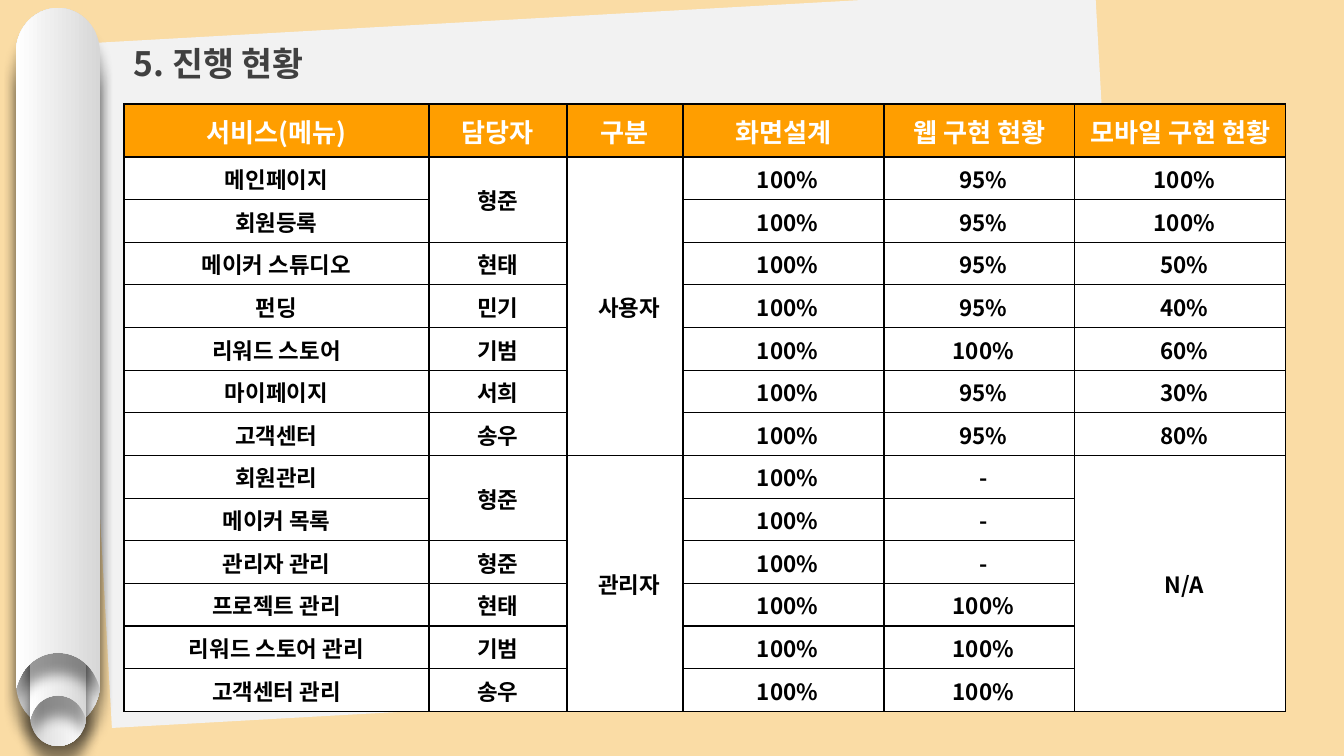
"""Build the project progress slide: a paper scroll and a status table."""
import dataclasses
import typing

import lxml.etree
import pptx
import pptx.dml.color
import pptx.enum.shapes
import pptx.enum.text
import pptx.oxml
import pptx.oxml.ns
import pptx.util

PX = 914400 / 134.4
FONT = "Noto Sans CJK KR"
NS = 'xmlns:a="http://schemas.openxmlformats.org/drawingml/2006/main"'


@dataclasses.dataclass(frozen=True)
class Tube:
    left: int
    top: int
    width: int
    height: int
    rotation: int


class Status(typing.NamedTuple):
    service: str
    owner: str
    group: str
    design: str
    web: str
    mobile: str


TUBES = [
    Tube(16, 48, 84, 680, 180),
    Tube(30, 290, 56, 456, 180),
    Tube(30, 263, 56, 456, 0),
    Tube(16, 8, 84, 680, 0),
]
COLUMNS = [305, 138, 116, 201, 191, 211]
HEADER_HEIGHT, BODY_HEIGHT = 53, 555
ROWS = [
    Status("서비스(메뉴)", "담당자", "구분", "화면설계", "웹 구현 현황", "모바일 구현 현황"),
    Status("메인페이지", "형준", "사용자", "100%", "95%", "100%"),
    Status("회원등록", "", "", "100%", "95%", "100%"),
    Status("메이커 스튜디오", "현태", "", "100%", "95%", "50%"),
    Status("펀딩", "민기", "", "100%", "95%", "40%"),
    Status("리워드 스토어", "기범", "", "100%", "100%", "60%"),
    Status("마이페이지", "서희", "", "100%", "95%", "30%"),
    Status("고객센터", "송우", "", "100%", "95%", "80%"),
    Status("회원관리", "형준", "관리자", "100%", "-", "N/A"),
    Status("메이커 목록", "", "", "100%", "-", ""),
    Status("관리자 관리", "형준", "", "100%", "-", ""),
    Status("프로젝트 관리", "현태", "", "100%", "100%", ""),
    Status("리워드 스토어 관리", "기범", "", "100%", "100%", ""),
    Status("고객센터 관리", "송우", "", "100%", "100%", ""),
]


def emu(px: float) -> int:
    """Turn pixels into EMU."""
    return round(px * PX)


def rgb(value: str) -> pptx.dml.color.RGBColor:
    """Turn a hex string into a colour."""
    return pptx.dml.color.RGBColor.from_string(value)


def apply(target, values: dict) -> None:
    """Set every attribute in a dict of format values."""
    for name, value in values.items():
        setattr(target, name, value)


def write(tf, text: str, size: int, color: str, **paragraph) -> None:
    """Write one bold line of text."""
    p = tf.paragraphs[0]
    apply(p, paragraph)
    r = p.add_run()
    r.text = text
    apply(r.font, {"name": FONT, "size": pptx.util.Pt(size), "bold": True})
    r.font.color.rgb = rgb(color)
    ea = lxml.etree.SubElement(r.font._element, pptx.oxml.ns.qn("a:ea"))
    ea.set("typeface", FONT)


def add_backdrop(s) -> None:
    """Draw the tilted sheet of paper."""
    sp = s.shapes.add_shape(
        pptx.enum.shapes.MSO_SHAPE.RECTANGLE, emu(92), emu(15), emu(1023), emu(685))
    sp.rotation = 356.8
    sp.shadow.inherit = False
    sp.fill.solid()
    sp.fill.fore_color.rgb = rgb("F2F2F2")
    sp.line.fill.background()


def bend(segment, controls: list) -> None:
    """Turn a straight path segment into a cubic curve."""
    segment.tag = pptx.oxml.ns.qn("a:cubicBezTo")
    for i, (x, y) in enumerate(controls):
        segment.insert(i, pptx.oxml.parse_xml(
            f'<a:pt {NS} x="{emu(x)}" y="{emu(y)}"/>'))


def add_tube(shapes, tube: Tube) -> None:
    """Draw a tube with a round cap and a hollow end."""
    w, h = tube.width, tube.height
    mid, cap = w / 2, 0.53 * w
    notch, lip = h - 0.42 * w, h - 0.08 * w
    corners = [(mid, 0), (w, cap), (w, h), (0.97 * w, lip), (mid, notch),
               (0.03 * w, lip), (0, h), (0, cap), (mid, 0)]
    curves = {
        1: [(0.78 * w, 0), (w, 0.24 * w)],
        4: [(0.89 * w, h - 0.29 * w), (0.71 * w, notch)],
        5: [(0.29 * w, notch), (0.11 * w, h - 0.29 * w)],
        8: [(0, 0.24 * w), (0.22 * w, 0)],
    }
    points = [(emu(tube.left + x), emu(tube.top + y)) for x, y in corners]
    builder = shapes.build_freeform(*points[0])
    builder.add_line_segments(points[1:])
    sp = builder.convert_to_shape()
    outline = sp._element.find(".//" + pptx.oxml.ns.qn("a:path"))
    for i, controls in curves.items():
        bend(outline[i], controls)
    sp.rotation = tube.rotation
    sp.line.fill.background()
    sp.fill.gradient()
    sp.fill.gradient_angle = 180
    for stop, (position, color) in zip(
            sp.fill.gradient_stops, [(0, "D7D7D7"), (1, "FFFFFF")]):
        stop.position = position
        stop.color.rgb = rgb(color)
    sp._element.spPr.append(pptx.oxml.parse_xml(
        f'<a:effectLst {NS}><a:outerShdw blurRad="{pptx.util.Pt(7)}" '
        f'dist="{pptx.util.Pt(11)}" dir="5400000" algn="ctr" rotWithShape="0">'
        '<a:srgbClr val="000000"><a:alpha val="40000"/></a:srgbClr>'
        '</a:outerShdw></a:effectLst>'))


def add_title(s) -> None:
    """Add the slide heading."""
    tf = s.shapes.add_textbox(emu(124), emu(18), emu(969), emu(66)).text_frame
    apply(tf, {"word_wrap": True, "margin_left": emu(10), "margin_right": emu(10),
               "margin_top": emu(5), "margin_bottom": emu(5)})
    write(tf, "5. 진행 현황", 18, "404040", line_spacing=1.5)


def add_borders(cell) -> None:
    """Give a cell a thin black line on each side."""
    tc_pr = cell._tc.get_or_add_tcPr()
    for i, side in enumerate("LRTB"):
        tc_pr.insert(i, pptx.oxml.parse_xml(
            f'<a:ln{side} {NS} w="{pptx.util.Pt(0.75)}"><a:solidFill>'
            f'<a:srgbClr val="000000"/></a:solidFill></a:ln{side}>'))


def add_status_table(s) -> None:
    """Draw the status table, merging each cell with the empty ones below."""
    table = s.shapes.add_table(
        len(ROWS), len(COLUMNS), emu(124), emu(104),
        emu(sum(COLUMNS)), emu(HEADER_HEIGHT + BODY_HEIGHT)).table
    table.horz_banding = False
    for column, width in zip(table.columns, COLUMNS):
        column.width = emu(width)
    for i, row in enumerate(table.rows):
        row.height = emu(BODY_HEIGHT / (len(ROWS) - 1) if i else HEADER_HEIGHT)
    for i, status in enumerate(ROWS):
        size, color, fill = (12, "000000", "FFFFFF") if i else (14, "FFFFFF", "FF9E00")
        for j, text in enumerate(status):
            cell = table.cell(i, j)
            add_borders(cell)
            cell.fill.solid()
            cell.fill.fore_color.rgb = rgb(fill)
            apply(cell, {"margin_left": emu(9 if i and j > 1 else 1),
                         "margin_right": emu(1), "margin_top": emu(1), "margin_bottom": 0,
                         "vertical_anchor": pptx.enum.text.MSO_ANCHOR.MIDDLE})
            if not text:
                continue
            write(cell.text_frame, text, size, color,
                  alignment=pptx.enum.text.PP_ALIGN.CENTER)
            last = i
            while last + 1 < len(ROWS) and not ROWS[last + 1][j]:
                last += 1
            if last > i:
                cell.merge(table.cell(last, j))


def main() -> None:
    """Build and save the slide."""
    prs = pptx.Presentation()
    apply(prs, {"slide_width": emu(1344), "slide_height": emu(756)})
    s = prs.slides.add_slide(prs.slide_layouts[6])
    s.background.fill.solid()
    s.background.fill.fore_color.rgb = rgb("FADCA5")
    add_backdrop(s)
    scroll = s.shapes.add_group_shape()
    for tube in TUBES:
        add_tube(scroll.shapes, tube)
    add_title(s)
    add_status_table(s)
    prs.save("out.pptx")


if __name__ == "__main__":
    main()
